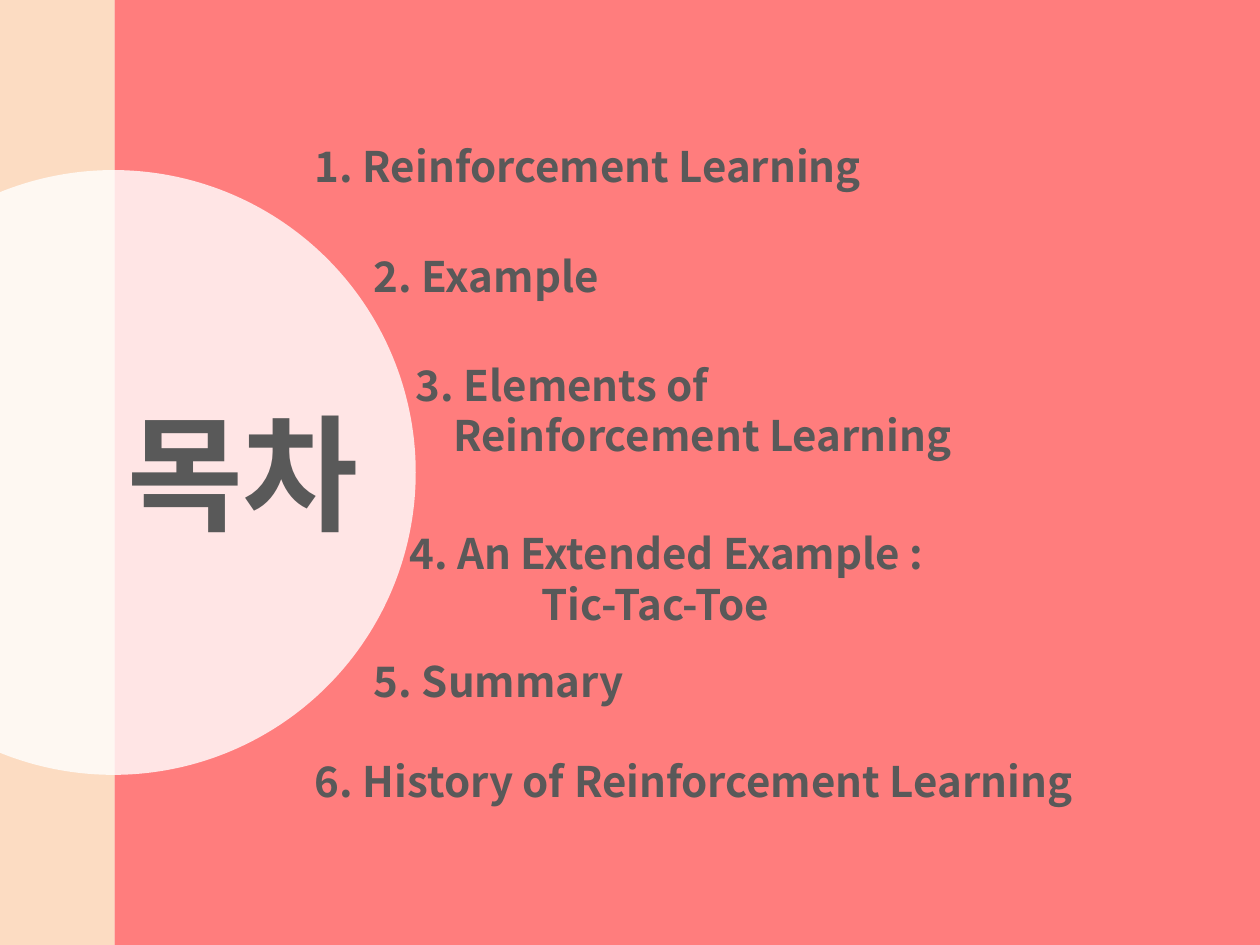
from pptx import Presentation
from pptx.dml.color import RGBColor
from pptx.enum.shapes import MSO_SHAPE
from pptx.enum.text import MSO_AUTO_SIZE
from pptx.oxml.ns import qn
from pptx.util import Pt
from lxml import etree

RECT, OVAL = MSO_SHAPE.RECTANGLE, MSO_SHAPE.OVAL
FIT_SHAPE = MSO_AUTO_SIZE.SHAPE_TO_FIT_TEXT
PEACH = RGBColor(0xFC, 0xD9, 0xBC)
CORAL = RGBColor(0xFF, 0x6F, 0x6F)
WHITE = RGBColor(0xFF, 0xFF, 0xFF)
GRAY = RGBColor(0x59, 0x59, 0x59)
FONT = "Noto Sans CJK KR"
SLIDE_W, SLIDE_H = 720, 540
BAND_W = 65.5
CIRCLE_D = 345.6

# left, top, width, lines, indent of the second line
AGENDA = [
    (172.8, 77, 428.4, ["1. Reinforcement Learning"], 0),
    (206.6, 139.7, 428.4, ["2. Example"], 0),
    (230.4, 201.6, 452.9, ["3. Elements of", "Reinforcement Learning"], 21.6),
    (226.8, 298.1, 428.4, ["4. An Extended Example :", "Tic-Tac-Toe"], 75.6),
    (206.6, 370.8, 428.4, ["5. Summary"], 0),
    (172.8, 428.4, 504.7, ["6. History of Reinforcement Learning"], 0),
]


def add_panel(s, kind, left, top, width, height, color, opacity):
    """Add a borderless shape with a fill of the given opacity in percent."""
    sp = s.shapes.add_shape(kind, Pt(left), Pt(top), Pt(width), Pt(height))
    sp.shadow.inherit = False
    sp.line.fill.background()
    sp.fill.solid()
    sp.fill.fore_color.rgb = color
    clr = sp.fill._xPr.find(".//" + qn("a:srgbClr"))
    etree.SubElement(clr, qn("a:alpha")).set("val", str(opacity * 1000))


def add_text(s, left, top, width, height, lines, size=24, indent=0):
    """Add bold text, one paragraph a line, indenting lines after the first."""
    tf = s.shapes.add_textbox(Pt(left), Pt(top), Pt(width), Pt(height)).text_frame
    tf.word_wrap = True
    tf.auto_size = FIT_SHAPE
    for i, line in enumerate(lines):
        p = tf.add_paragraph() if i else tf.paragraphs[0]
        if i and indent:
            p._p.get_or_add_pPr().set("marL", str(Pt(indent)))
        r = p.add_run()
        r.text = line
        r.font.size = Pt(size)
        r.font.bold = True
        r.font.name = FONT
        r.font.color.rgb = GRAY
        ea = etree.SubElement(r.font._element, qn("a:ea"))
        ea.set("typeface", FONT)


def main():
    prs = Presentation()
    prs.slide_width, prs.slide_height = Pt(SLIDE_W), Pt(SLIDE_H)
    s = prs.slides.add_slide(prs.slide_layouts[6])

    add_panel(s, RECT, 0, 0, BAND_W, SLIDE_H, PEACH, 90)
    add_panel(s, RECT, BAND_W, 0, SLIDE_W - BAND_W, SLIDE_H, CORAL, 90)
    add_panel(s, OVAL, -108, (SLIDE_H - CIRCLE_D) / 2, CIRCLE_D, CIRCLE_D, WHITE, 80)

    add_text(s, BAND_W, 222.5, 159.1, 94.5, ["목차"], size=72)
    for left, top, width, lines, indent in AGENDA:
        height = 7 + 29 * len(lines)
        add_text(s, left, top, width, height, lines, indent=indent)

    prs.save("out.pptx")


if __name__ == "__main__":
    main()
